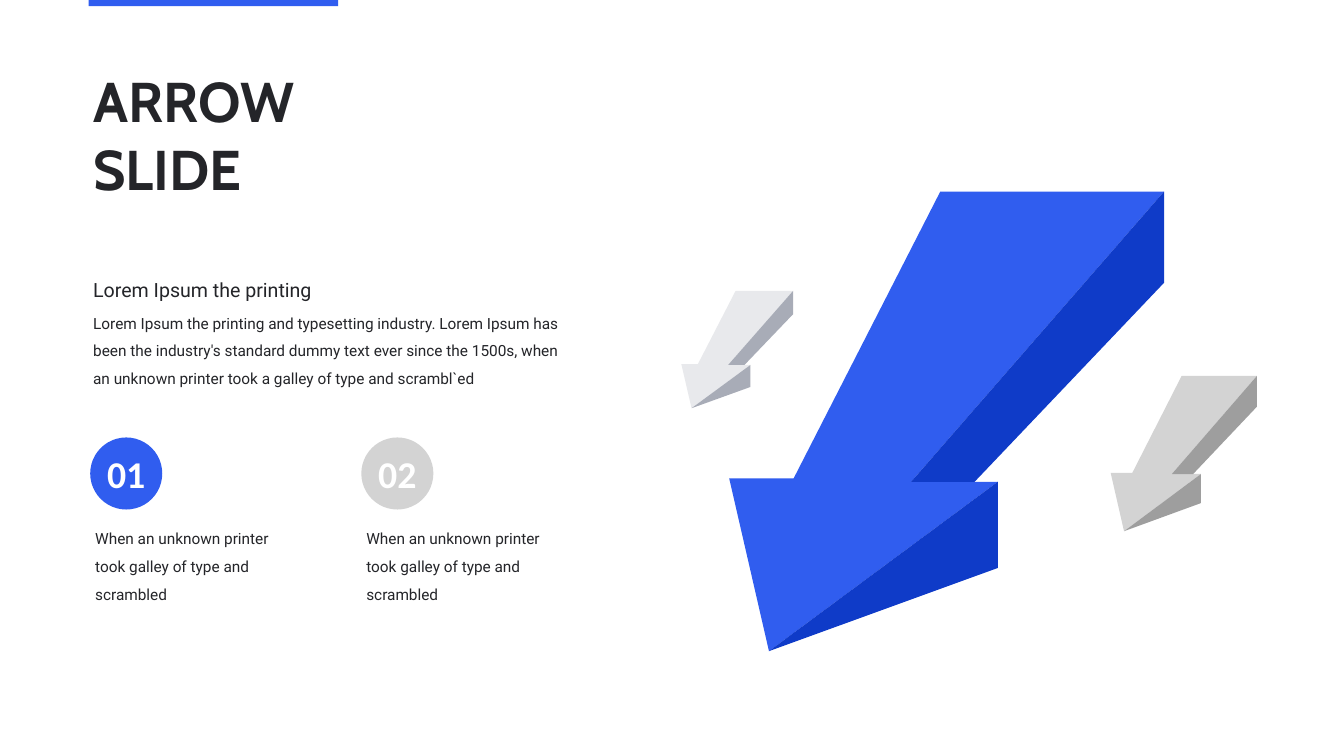
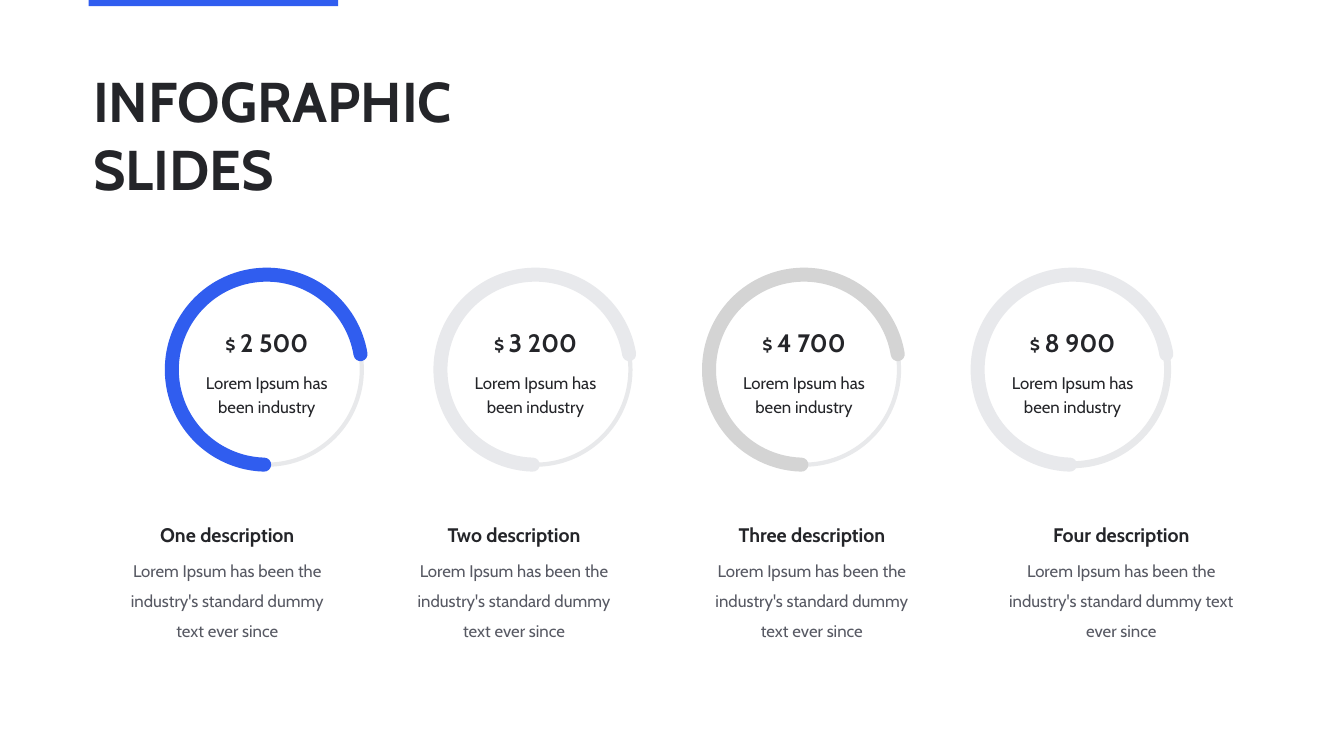
import pptx
import pptx.util
import pptx.dml.color
import pptx.enum.shapes
import pptx.enum.text

Inches, Pt = pptx.util.Inches, pptx.util.Pt
SHAPE = pptx.enum.shapes.MSO_SHAPE
ALIGN = pptx.enum.text.PP_ALIGN
ANCHOR = pptx.enum.text.MSO_ANCHOR

COLORS = {
    "blue": "305DEF", "deep blue": "0F3BC8", "ink": "242529",
    "body": "575963", "white": "FFFFFF", "silver": "D3D3D3",
    "ring silver": "D4D4D4", "gray": "9E9E9E", "mist": "E8E9EC",
    "track": "E8E9EB", "slate": "A8ACB7",
}

# Faces of the folded arrow, in inches at full size
ARROW_SIZE = (8.63, 9.12)
ARROW_FRONT = [(8.63, 0), (3.61, 5.76), (5.33, 5.76), (0.79, 9.12),
               (0, 5.69), (1.28, 5.69), (4.19, 0)]
ARROW_HEAD_SIDE = [(5.33, 7.47), (5.33, 5.76), (0.79, 9.12)]
ARROW_SHAFT_SIDE = [(3.61, 5.76), (4.87, 5.76), (8.63, 1.81), (8.63, 0)]

# Arc adjustments: the track is almost a full turn, the value stops earlier
ARC_START, TRACK_END, VALUE_END = 54.96, 53.96, 210.36


def rgb(color):
    return pptx.dml.color.RGBColor.from_string(COLORS[color])


def fill_plain(shape, color):
    shape.shadow.inherit = False
    shape.fill.solid()
    shape.fill.fore_color.rgb = rgb(color)
    shape.line.fill.background()


def add_text_frame(slide, box):
    frame = slide.shapes.add_textbox(*map(Inches, box)).text_frame
    frame.word_wrap = True
    return frame


def add_paragraph(frame, runs, size, font, color="ink", bold=False,
                  align=ALIGN.LEFT, spacing=1.0, before=0):
    """Append a paragraph; runs is a string or a list of (text, size)."""
    first = frame.paragraphs[0]
    paragraph = frame.add_paragraph() if first.runs else first
    paragraph.alignment = align
    paragraph.line_spacing = spacing
    paragraph.space_before = Pt(before)
    paragraph.font.name = font
    paragraph.font.size = Pt(size)
    paragraph.font.bold = bold
    paragraph.font.color.rgb = rgb(color)
    if isinstance(runs, str):
        paragraph.text = runs
        return
    for text, run_size in runs:
        run = paragraph.add_run()
        run.text = text
        run.font.size = Pt(run_size)


def add_titled_slide(deck, title):
    """Add a blank slide with the top band and the two-line title."""
    slide = deck.slides.add_slide(deck.slide_layouts[6])
    band = slide.shapes.add_shape(
        SHAPE.RECTANGLE, Inches(1.76), 0, Inches(4.95), Inches(0.12))
    fill_plain(band, "blue")
    heading = add_text_frame(slide, (1.75, 1.28, 23.18, 1.39))
    add_paragraph(heading, title, 80, "Cabin", bold=True)
    return slide


def add_intro(slide, box):
    intro = add_text_frame(slide, box)
    add_paragraph(intro, "Lorem Ipsum the printing", 28, "Roboto", spacing=1.5)
    add_paragraph(
        intro,
        "Lorem Ipsum the printing and typesetting industry. Lorem Ipsum has "
        "been the industry's standard dummy text ever since the 1500s, when "
        "an unknown printer took a galley of type and scrambl`ed",
        22, "Roboto", spacing=1.5, before=4.4)


def add_numbered_point(slide, box, number, color):
    left, top, width, height = box
    diameter, text_offset = 1.43, 1.59
    badge = slide.shapes.add_shape(
        SHAPE.OVAL, *map(Inches, (left, top, diameter, diameter)))
    fill_plain(badge, color)
    badge.text_frame.word_wrap = False
    badge.text_frame.vertical_anchor = ANCHOR.MIDDLE
    add_paragraph(badge.text_frame, number, 54, "Calibri", "white", True,
                  ALIGN.CENTER)
    caption = add_text_frame(
        slide, (left, top + text_offset, width, height - text_offset))
    add_paragraph(caption,
                  "When an unknown printer took galley of type and scrambled",
                  22, "Roboto", spacing=1.5)


def add_folded_arrow(slide, box, front_color, side_color):
    left, top, width, height = box
    x_scale, y_scale = width / ARROW_SIZE[0], height / ARROW_SIZE[1]
    for face, color in ((ARROW_FRONT, front_color),
                        (ARROW_HEAD_SIDE, side_color),
                        (ARROW_SHAFT_SIDE, side_color)):
        points = [(Inches(left + x * x_scale), Inches(top + y * y_scale))
                  for x, y in face]
        outline = slide.shapes.build_freeform(*points[0])
        outline.add_line_segments(points[1:], close=True)
        fill_plain(outline.convert_to_shape(), color)


def add_arc(slide, box, end, color, weight, rounded=False):
    arc = slide.shapes.add_shape(SHAPE.ARC, *map(Inches, box))
    arc.adjustments[0] = ARC_START
    arc.adjustments[1] = end
    arc.shadow.inherit = False
    arc.fill.background()
    arc.line.color.rgb = rgb(color)
    arc.line.width = Pt(weight)
    if rounded:
        arc.line._get_or_add_ln().set("cap", "rnd")


def add_price_ring(slide, box, amount, color, track_weight):
    left, top, width, _ = box
    add_arc(slide, box, TRACK_END, "track", track_weight)
    add_arc(slide, box, VALUE_END, color, 20, rounded=True)
    label_width = 3
    label = add_text_frame(
        slide, (left + (width - label_width) / 2, top + 0.99, label_width, 1.96))
    add_paragraph(label, [("$ ", 28), (amount, 36)], 36, "Cabin", bold=True,
                  align=ALIGN.CENTER)
    add_paragraph(label, "Lorem Ipsum has been industry", 24, "Cabin",
                  align=ALIGN.CENTER, spacing=1.2, before=16)


def add_description(slide, box, heading):
    description = add_text_frame(slide, box)
    add_paragraph(description, heading, 28, "Cabin", bold=True,
                  align=ALIGN.CENTER, spacing=1.5)
    add_paragraph(
        description,
        "Lorem Ipsum has been the industry's standard dummy text ever since",
        24, "Cabin", "body", align=ALIGN.CENTER, spacing=1.5, before=4.8)


def build_arrow_slide(deck):
    slide = add_titled_slide(deck, "ARROW\vSLIDE")
    for i, (number, color) in enumerate((("01", "blue"), ("02", "silver"))):
        add_numbered_point(slide, (1.79 + i * 5.38, 8.68, 4.18, 3.76),
                           number, color)
    add_intro(slide, (1.75, 5.23, 9.69, 2.9))
    add_folded_arrow(slide, (14.47, 3.8, 8.63, 9.12), "blue", "deep blue")
    add_folded_arrow(slide, (22.04, 7.46, 2.9, 3.08), "silver", "gray")
    add_folded_arrow(slide, (13.52, 5.77, 2.22, 2.33), "mist", "slate")


def build_infographic_slide(deck):
    slide = add_titled_slide(deck, "INFOGRAPHIC\vSLIDES")
    rings = (("2 500", "blue", 6), ("3 200", "mist", 6),
             ("4 700", "ring silver", 6), ("8 900", "mist", 10))
    for i, (amount, color, track_weight) in enumerate(rings):
        add_price_ring(slide, (3.41 + i * 5.33, 5.45, 3.77, 3.77),
                       amount, color, track_weight)
    descriptions = (("One", 2.23, 4.56, 3.07), ("Two", 7.98, 4.44, 2.84),
                    ("Three", 13.89, 4.44, 2.84), ("Four", 19.81, 4.88, 2.84))
    for ordinal, left, width, height in descriptions:
        add_description(slide, (left, 10.1, width, height),
                        f"{ordinal} description")


def main():
    deck = pptx.Presentation()
    deck.slide_width, deck.slide_height = Inches(26.67), Inches(15)
    build_arrow_slide(deck)
    build_infographic_slide(deck)
    deck.save("out.pptx")


if __name__ == "__main__":
    main()
